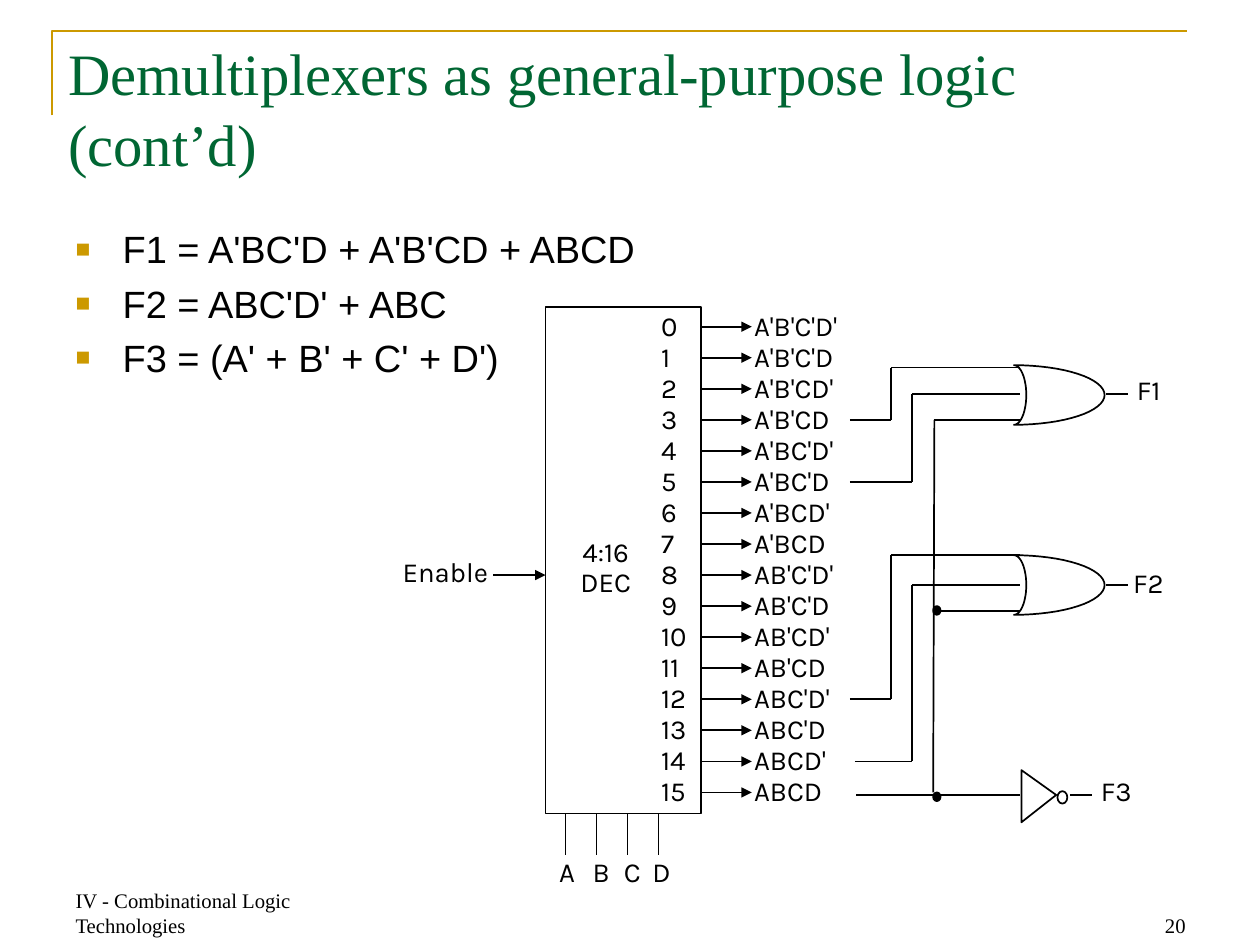
"""Build the slide on demultiplexers used as general-purpose logic."""
from dataclasses import dataclass
from itertools import pairwise
from math import cos, pi, sin

from lxml import etree
from pptx import Presentation
from pptx import util as u
from pptx.dml.color import RGBColor
from pptx.enum import shapes, text
from pptx.oxml.ns import qn

PX = 9144
BLACK = RGBColor(0x00, 0x00, 0x00)
WHITE = RGBColor(0xFF, 0xFF, 0xFF)
GREEN = RGBColor(0x00, 0x66, 0x33)
GOLD = RGBColor(0xCC, 0x99, 0x00)
SERIF, SANS, HAND = "Times New Roman", "Arial", "Karla"
LEFT, CENTER, RIGHT = text.PP_ALIGN.LEFT, text.PP_ALIGN.CENTER, text.PP_ALIGN.RIGHT
TOP, BOTTOM = text.MSO_ANCHOR.TOP, text.MSO_ANCHOR.BOTTOM
Point = tuple[float, float]


@dataclass(frozen=True)
class Label:
    """A box of text with one font throughout."""
    words: str
    left: int
    top: int
    width: int
    height: int
    font: str = HAND
    size: int = 16
    color: RGBColor = BLACK
    align: text.PP_ALIGN = LEFT
    anchor: text.MSO_ANCHOR = TOP
    margins: tuple[int, int] = (2, 3)
    leading: int | None = 17
    tab: int | None = None
    bulleted: bool = False


@dataclass(frozen=True)
class Route:
    """A wire running straight from point to point."""
    points: tuple[Point, ...]
    arrow: bool = False


@dataclass(frozen=True)
class Preset:
    """A preset shape with a thin black edge."""
    kind: shapes.MSO_SHAPE
    left: int
    top: int
    width: int
    height: int
    fill: RGBColor | None = None


@dataclass(frozen=True)
class Outline:
    """A polygon or an open line through points."""
    points: tuple[Point, ...]
    closed: bool = True
    fill: RGBColor | None = None
    color: RGBColor = BLACK
    weight: float = 1


def style(shape, fill: RGBColor | None, color: RGBColor, weight: float) -> None:
    """Set the fill and line of a shape and drop its shadow."""
    shape.shadow.inherit = False
    if fill is None:
        shape.fill.background()
    else:
        shape.fill.solid()
        shape.fill.fore_color.rgb = fill
    shape.line.color.rgb = color
    shape.line.width = u.Pt(weight)


def add_bullet(paragraph) -> None:
    """Give a paragraph a hanging gold square bullet."""
    props = paragraph._p.get_or_add_pPr()
    props.set("marL", str(38 * PX))
    props.set("indent", str(-38 * PX))
    color = etree.SubElement(props, qn("a:buClr"))
    etree.SubElement(color, qn("a:srgbClr"), val=str(GOLD))
    etree.SubElement(props, qn("a:buSzPct"), val="65000")
    etree.SubElement(props, qn("a:buFont"), typeface=SANS)
    etree.SubElement(props, qn("a:buChar"), char="■")


def draw_label(slide, label: Label) -> None:
    """Draw a text box."""
    box = slide.shapes.add_textbox(
        *(PX * n for n in (label.left, label.top, label.width, label.height)))
    frame = box.text_frame
    frame.word_wrap = True
    frame.vertical_anchor = label.anchor
    frame.margin_left = frame.margin_right = label.margins[0] * PX
    frame.margin_top = frame.margin_bottom = label.margins[1] * PX
    frame.text = label.words
    for index, paragraph in enumerate(frame.paragraphs):
        if label.bulleted:
            add_bullet(paragraph)
        if label.tab:
            props = paragraph._p.get_or_add_pPr()
            tabs = etree.SubElement(props, qn("a:tabLst"))
            etree.SubElement(tabs, qn("a:tab"), pos=str(label.tab * PX), algn="l")
        if label.leading:
            paragraph.line_spacing = u.Pt(label.leading)
        paragraph.space_before = u.Pt(5 if index else 0)
        paragraph.alignment = label.align
        paragraph.font.name = label.font
        paragraph.font.size = u.Pt(label.size)
        paragraph.font.color.rgb = label.color


def draw_route(slide, route: Route) -> None:
    """Draw each stretch of a wire as a connector."""
    for start, end in pairwise(route.points):
        wire = slide.shapes.add_connector(
            shapes.MSO_CONNECTOR.STRAIGHT, *(PX * n for n in start + end))
        wire.line.color.rgb = BLACK
        wire.line.width = u.Pt(1)
        if route.arrow:
            etree.SubElement(wire.line._get_or_add_ln(), qn("a:tailEnd"), type="triangle")
        etree.SubElement(wire._element.spPr, qn("a:effectLst"))


def draw_preset(slide, preset: Preset) -> None:
    """Draw a preset shape."""
    shape = slide.shapes.add_shape(
        preset.kind, *(PX * n for n in (preset.left, preset.top, preset.width, preset.height)))
    style(shape, preset.fill, BLACK, 1)


def draw_outline(slide, outline: Outline) -> None:
    """Draw a freeform through the outline's points."""
    first, *rest = [(round(x * PX), round(y * PX)) for x, y in outline.points]
    builder = slide.shapes.build_freeform(*first)
    builder.add_line_segments(rest, close=outline.closed)
    style(builder.convert_to_shape(), outline.fill, outline.color, outline.weight)


def or_gate(middle: int) -> Outline:
    """Return an OR gate centred on the given height."""
    def arc(depth: int) -> list[Point]:
        """Return points down half an ellipse."""
        turns = [pi * step / 32 for step in range(33)]
        return [(816 + depth * sin(t), middle - 24 * cos(t)) for t in turns]
    return Outline(tuple(arc(73) + arc(10)[::-1]), fill=WHITE)


def minterm(number: int) -> str:
    """Return the product of A to D that selects an output."""
    return "".join(name if number >> (3 - i) & 1 else name + "'"
                   for i, name in enumerate("ABCD"))


EQUATIONS = "F1 = A'BC'D + A'B'CD + ABCD\nF2 = ABC'D' + ABC\nF3 = (A' + B' + C' + D')"
PROSE = {"margins": (10, 5), "leading": None}
FOOTER = {**PROSE, "font": SERIF, "size": 12, "anchor": BOTTOM}
LABELS = [
    Label("IV - Combinational Logic Technologies", 51, 709, 237, 51, **FOOTER),
    Label("20", 727, 709, 237, 51, align=RIGHT, **FOOTER),
    Label("Demultiplexers as general-purpose logic (cont’d)", 45, 25, 922, 93,
          SERIF, 34, GREEN, **PROSE),
    Label(EQUATIONS, 51, 177, 916, 494, SANS, 22, bulleted=True, **PROSE),
    Label("\v".join(f"{n}\t{minterm(n)}" for n in range(16)), 530, 247, 160, 419,
          leading=18, tab=75),
    Label("4:16\vDEC", 427, 431, 121, 89, align=CENTER),
    Label("Enable", 322, 447, 86, 65),
    Label("F1", 913, 300, 69, 65),
    Label("F2", 910, 456, 69, 65),
    Label("F3", 884, 623, 69, 65),
    *(Label(name, left, 688, 61, 65) for name, left in zip("ABCD", (448, 475, 500, 523))),
]
OUTLINES = [
    Outline(((42, 93), (42, 25), (955, 25)), closed=False, color=GOLD, weight=1.5),
    or_gate(318),
    or_gate(471),
    Outline(((822, 620), (850, 640), (822, 662))),
]
ROUTES = [
    Route(((684, 338), (717, 338), (717, 296), (821, 296))),
    Route(((684, 388), (734, 388), (734, 317), (821, 317))),
    Route(((751, 638), (752, 338), (821, 338))),
    Route(((684, 563), (717, 563), (717, 447), (821, 447))),
    Route(((688, 613), (734, 613), (734, 471), (821, 471))),
    Route(((753, 492), (821, 492))),
    Route(((689, 640), (821, 640))),
    Route(((890, 317), (908, 317))),
    Route(((890, 471), (908, 471))),
    Route(((861, 640), (879, 640))),
    Route(((397, 463), (439, 463)), arrow=True),
    *(Route(((455 + 25 * i, 655), (455 + 25 * i, 688))) for i in range(4)),
    *(Route(((564, 263 + 25 * n), (605, 263 + 25 * n)), arrow=True) for n in range(16)),
]
PRESETS = [
    Preset(shapes.MSO_SHAPE.RECTANGLE, 439, 247, 125, 408),
    Preset(shapes.MSO_SHAPE.OVAL, 851, 637, 8, 10),
    *(Preset(shapes.MSO_SHAPE.OVAL, 751, top, 6, 7, BLACK) for top in (488, 638)),
]


def main() -> None:
    """Draw the slide and save it."""
    deck = Presentation()
    deck.slide_width, deck.slide_height = 1014 * PX, 760 * PX
    slide = deck.slides.add_slide(deck.slide_layouts[6])
    for draw, items in ((draw_outline, OUTLINES), (draw_route, ROUTES),
                        (draw_preset, PRESETS), (draw_label, LABELS)):
        for item in items:
            draw(slide, item)
    deck.save("out.pptx")


if __name__ == "__main__":
    main()
